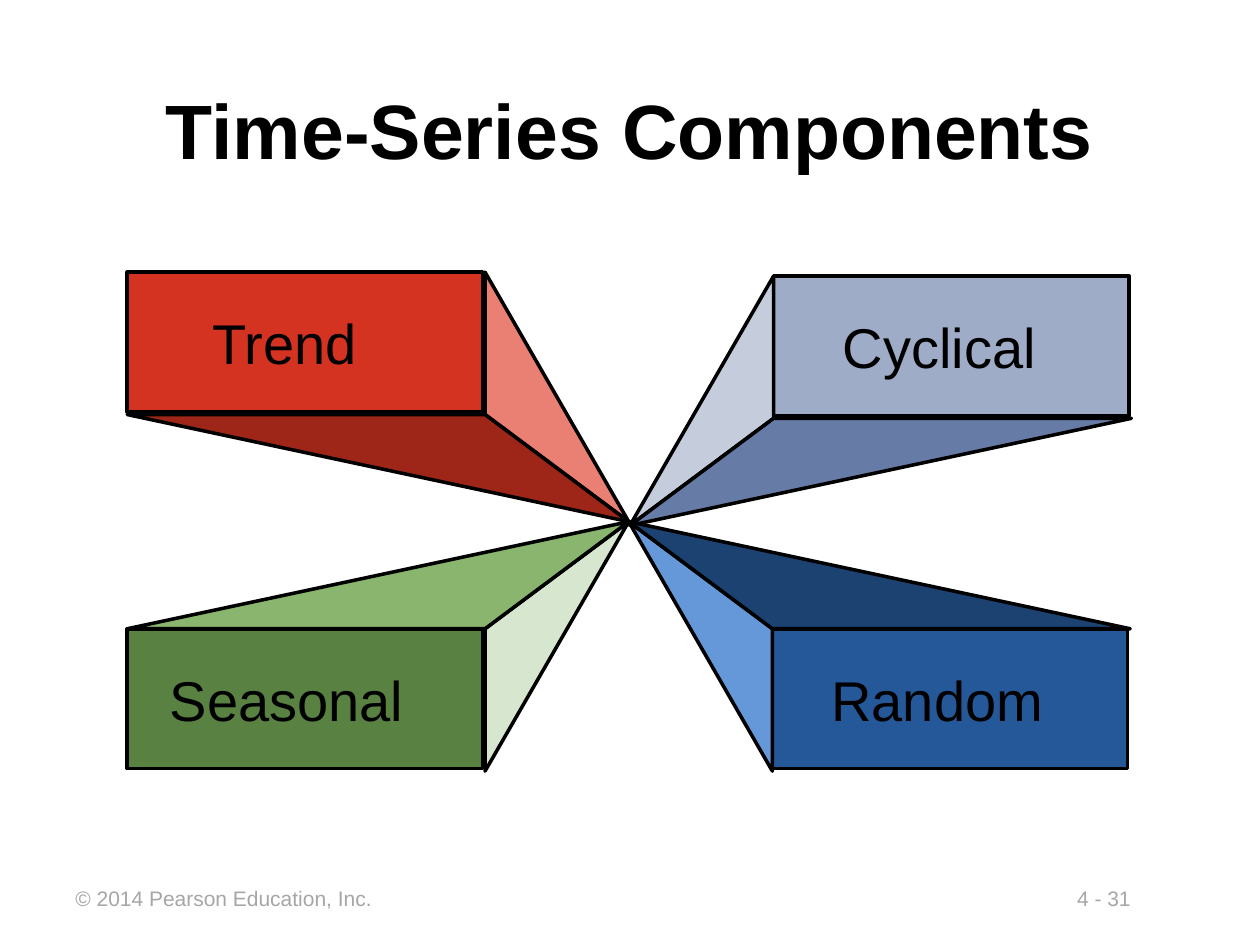
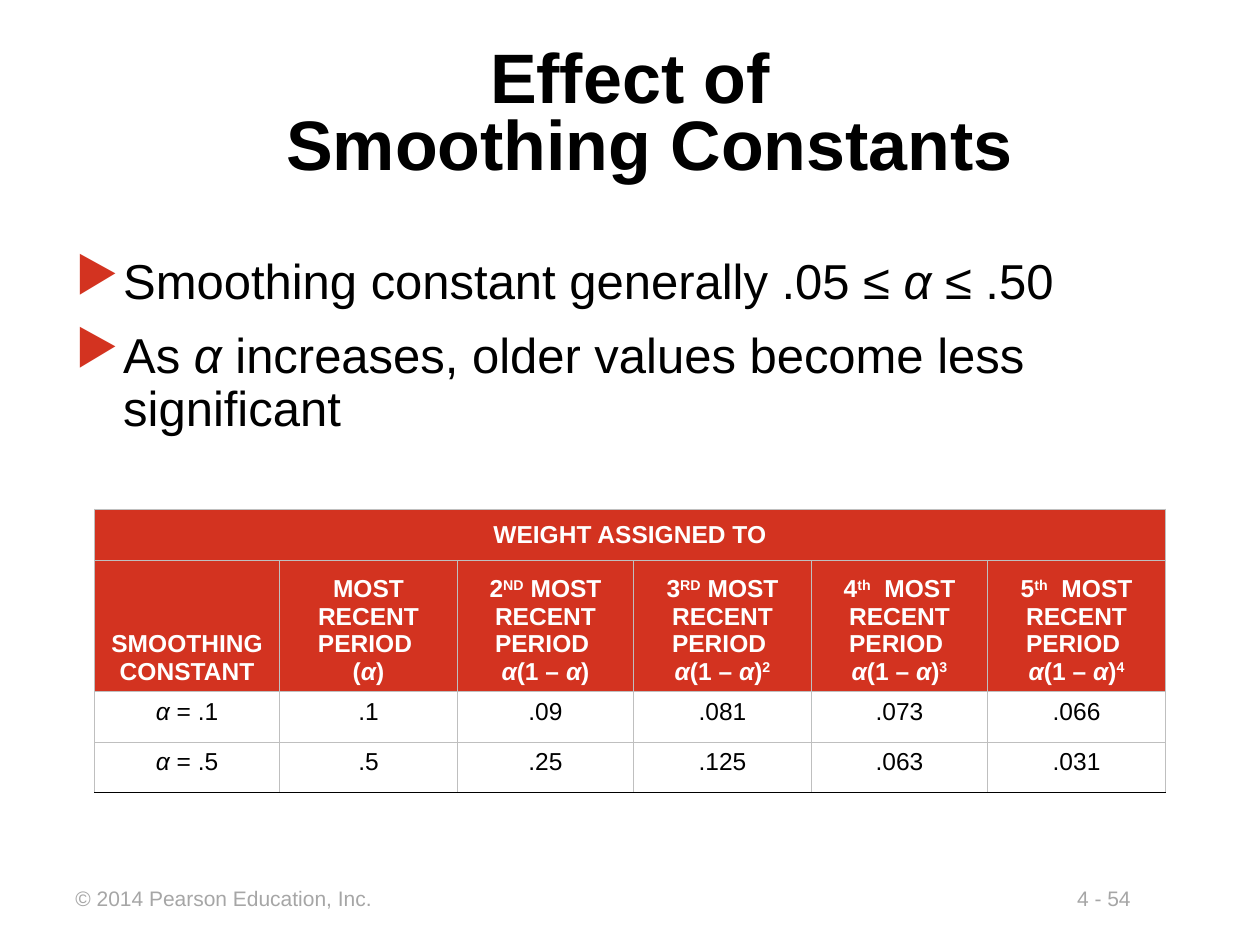
from lxml.etree import SubElement
from pptx import Presentation
from pptx.dml.color import RGBColor
from pptx.enum.shapes import MSO_SHAPE
from pptx.enum.text import MSO_ANCHOR, PP_ALIGN
from pptx.oxml import parse_xml
from pptx.oxml.ns import nsdecls, qn
from pptx.util import Pt

PX = 9144  # 100 px to the inch
FONT = "Arial"
BLACK, WHITE, RED = "000000", "FFFFFF", "D33320"
FOOTER_GRAY, BORDER_GRAY = "A6A6A6", "BFBFBF"

rgb = RGBColor.from_string


def textbox(shapes, x, y, w, h, anchor=MSO_ANCHOR.TOP):
    tf = shapes.add_textbox(x * PX, y * PX, w * PX, h * PX).text_frame
    tf.word_wrap = True
    tf.vertical_anchor = anchor
    return tf


def write(tf, text, size, color=BLACK, bold=False, align=PP_ALIGN.LEFT,
          spacing=None, after=0, bullet=None):
    """Write one paragraph per line; α turns italic and |^x| superscript."""
    for i, line in enumerate(text.split("\n")):
        p = tf.add_paragraph() if i else tf.paragraphs[0]
        if bullet:
            pPr = p._p.get_or_add_pPr()
            pPr.set("marL", str(38 * PX))
            pPr.set("indent", str(-38 * PX))
            clr = SubElement(pPr, qn("a:buClr"))
            SubElement(clr, qn("a:srgbClr"), val=RED)
            SubElement(pPr, qn("a:buChar"), char=bullet)
        p.alignment = align
        p.space_after = Pt(after)
        if spacing:
            p.line_spacing = spacing
        for part in filter(None, line.replace("α", "|α|").split("|")):
            r = p.add_run()
            r.text = part.lstrip("^")
            r.font.name = FONT
            r.font.size = Pt(size)
            r.font.bold = bold
            r.font.italic = part == "α"
            r.font.color.rgb = rgb(color)
            if part.startswith("^"):
                r.font._element.set("baseline", "30000")


prs = Presentation()
prs.slide_width, prs.slide_height = 1000 * PX, 750 * PX

# Slides with their footers and titles
pages = [
    ("4 - 31", "Time-Series Components", (75, 48, 850, 108), 44, None),
    ("4 - 54", "Effect of\nSmoothing Constants", (50, 30, 900, 125), 40, 0.8),
]
titles = []
for number, title, box, size, spacing in pages:
    s = prs.slides.add_slide(prs.slide_layouts[6])
    write(textbox(s.shapes, 845, 698, 120, 30), number, 12, FOOTER_GRAY)
    write(textbox(s.shapes, 50, 698, 300, 30),
          "© 2014 Pearson Education, Inc.", 12, FOOTER_GRAY)
    tf = textbox(s.shapes, *box, anchor=MSO_ANCHOR.MIDDLE)
    write(tf, title, size, bold=True, align=PP_ALIGN.CENTER, spacing=spacing)
    titles.append(tf)
components, smoothing = prs.slides
# The second title line sits slightly right of centre
titles[1].paragraphs[1]._p.get_or_add_pPr().set("marL", str(31 * PX))

# Four blocks in perspective, each drawn towards an apex near the middle:
# label, its left and width, apex, direction, colours of front, side and edge
blocks = [
    ("Trend", 159, 158, (499, 414), (-1, -1), (RED, "EA8074", "9E2618")),
    ("Seasonal", 125, 225, (499, 414), (-1, 1), ("598141", "D7E6CE", "89B56E")),
    ("Cyclical", 659, 200, (500, 417), (1, -1), ("9FACC7", "C5CDDD", "667BA6")),
    ("Random", 650, 216, (499, 414), (1, 1), ("255898", "6498D9", "1C4272")),
]
for label, label_x, label_w, apex, (dx, dy), colors in blocks:
    inner, far = apex[0] + 114 * dx, apex[0] + 398 * dx
    near, outer = apex[1] + 85 * dy, apex[1] + 198 * dy
    left, top = min(inner, far), min(near, outer)
    group = components.shapes.add_group_shape().shapes
    faces = [group.add_shape(MSO_SHAPE.RECTANGLE, left * PX, top * PX,
                             282 * PX, 111 * PX)]
    for corner in ((inner, outer), (far, near)):
        outline = group.build_freeform(*corner, scale=PX)
        outline.add_line_segments([(inner, near), apex], close=True)
        faces.append(outline.convert_to_shape())
    for sp, color in zip(faces, colors):
        sp.shadow.inherit = False
        sp.fill.solid()
        sp.fill.fore_color.rgb = rgb(color)
        sp.line.color.rgb = rgb(BLACK)
        sp.line.width = Pt(2)
    write(textbox(group, label_x, top + 24, label_w, 63), label, 32)

# Smoothing constants: bullets
write(textbox(smoothing.shapes, 50, 199, 900, 190),
      "Smoothing constant generally .05 ≤ α ≤ .50\n"
      "As α increases, older values become less significant",
      28, spacing=0.9, after=12, bullet="▶")

# Smoothing constants: table of weights
rows = [
    ["WEIGHT ASSIGNED TO", "", "", "", "", ""],
    ["SMOOTHING CONSTANT",
     "MOST RECENT PERIOD \n(α)",
     "2|^ND| MOST RECENT PERIOD \nα(1 – α)",
     "3|^RD| MOST RECENT PERIOD \nα(1 – α)|^2",
     "4|^th|  MOST RECENT PERIOD \nα(1 – α)|^3",
     "5|^th|  MOST RECENT PERIOD \nα(1 – α)|^4"],
    ["α = .1", ".1", ".09", ".081", ".073", ".066"],
    ["α = .5", ".5", ".25", ".125", ".063", ".031"],
]
row_heights = [41, 104, 40, 40]
col_widths = [147, 141, 140, 141, 140, 141]
anchors = [MSO_ANCHOR.MIDDLE, MSO_ANCHOR.BOTTOM, MSO_ANCHOR.TOP, MSO_ANCHOR.TOP]
table = smoothing.shapes.add_table(
    len(rows), len(col_widths), 75 * PX, 404 * PX,
    sum(col_widths) * PX, sum(row_heights) * PX).table
table.first_row = table.horz_banding = False
for col, width in zip(table.columns, col_widths):
    col.width = width * PX
for row, height in zip(table.rows, row_heights):
    row.height = height * PX
table.cell(0, 0).merge(table.cell(0, 5))
for i, texts in enumerate(rows):
    header = i < 2
    for j, text in enumerate(texts):
        cell = table.cell(i, j)
        cell.vertical_anchor = anchors[i]
        if header:
            cell.fill.solid()
            cell.fill.fore_color.rgb = rgb(RED)
        else:
            cell.fill.background()
        if text:
            write(cell.text_frame, text, 14, WHITE if header else BLACK,
                  bold=header, align=PP_ALIGN.CENTER)
        tcPr = cell._tc.get_or_add_tcPr()
        for k, side in enumerate("LRTB"):
            last_edge = side == "B" and i == len(rows) - 1
            color = BLACK if last_edge else BORDER_GRAY
            tcPr.insert(k, parse_xml(
                f'<a:ln{side} {nsdecls("a")} w="{Pt(0.45)}"><a:solidFill>'
                f'<a:srgbClr val="{color}"/></a:solidFill></a:ln{side}>'))

prs.save("out.pptx")
